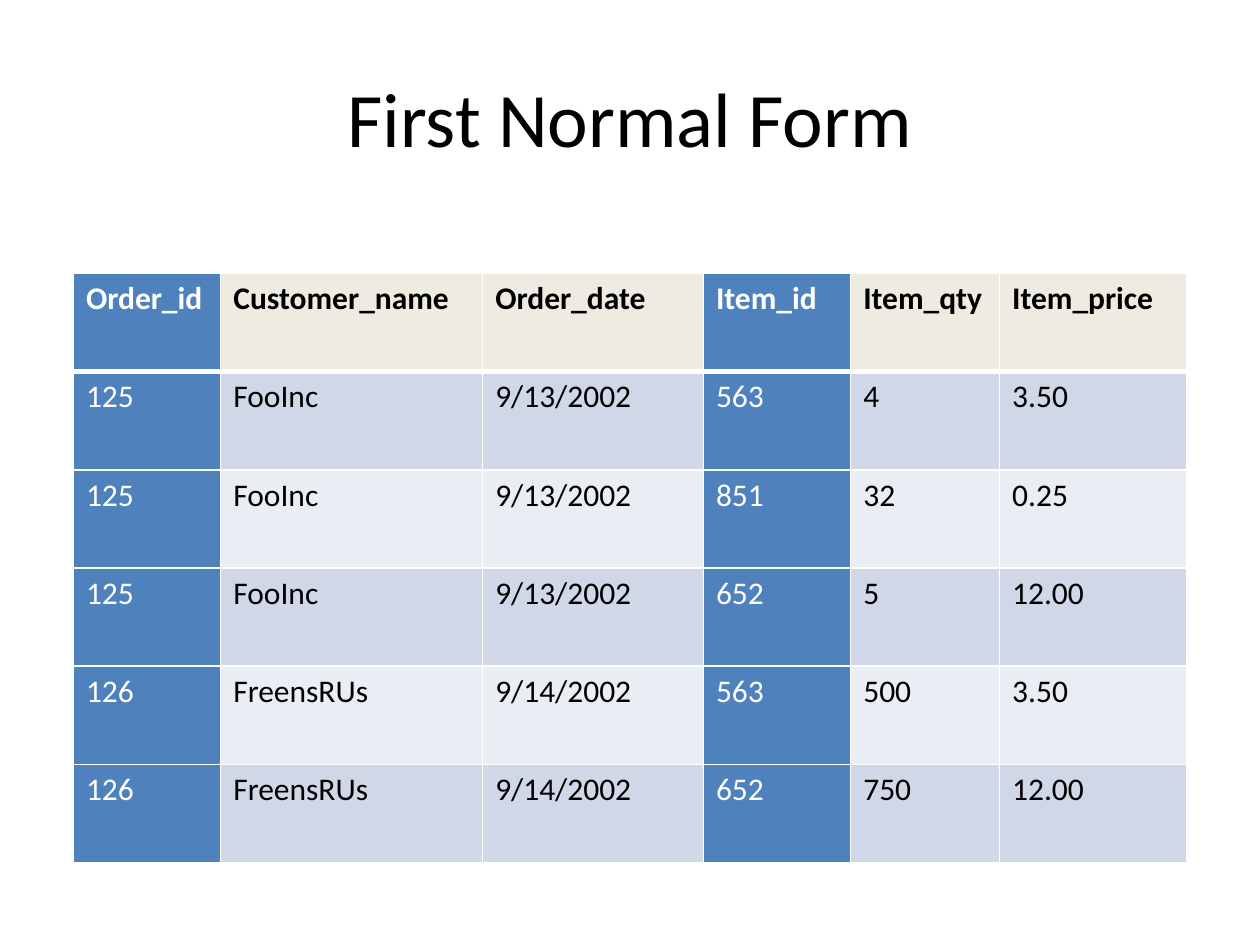
from lxml.etree import SubElement
from pptx import Presentation
from pptx.dml.color import RGBColor
from pptx.enum.text import MSO_ANCHOR as Anchor, PP_ALIGN as Align
from pptx.oxml.ns import qn
from pptx.util import Cm, Pt

BLACK = RGBColor(0x00, 0x00, 0x00)
WHITE = RGBColor(0xFF, 0xFF, 0xFF)
KEY_BLUE = RGBColor(0x4F, 0x81, 0xBD)
HEADER_TAN = RGBColor(0xEE, 0xEC, 0xE1)
BANDS = (RGBColor(0xE9, 0xED, 0xF4), RGBColor(0xD0, 0xD8, 0xE8))

COLUMN_WIDTHS = (2.97, 5.28, 4.45, 2.97, 3.0, 3.77)
ROW_HEIGHT = 1.98
KEY_COLUMNS = ("Order_id", "Item_id")
ORDERS = (
    ("Order_id", "Customer_name", "Order_date", "Item_id", "Item_qty", "Item_price"),
    ("125", "FooInc", "9/13/2002", "563", "4", "3.50"),
    ("125", "FooInc", "9/13/2002", "851", "32", "0.25"),
    ("125", "FooInc", "9/13/2002", "652", "5", "12.00"),
    ("126", "FreensRUs", "9/14/2002", "563", "500", "3.50"),
    ("126", "FreensRUs", "9/14/2002", "652", "750", "12.00"),
)


def write_text(frame, text, *, size=18, color=BLACK, bold=False, align=Align.LEFT):
    paragraph = frame.paragraphs[0]
    paragraph.alignment = align
    run = paragraph.add_run()
    run.text = text
    run.font.name = "Calibri"
    run.font.size = Pt(size)
    run.font.bold = bold
    run.font.color.rgb = color


def add_title(slide, text):
    title = slide.shapes.add_textbox(Cm(1.27), Cm(0.76), Cm(22.86), Cm(3.18))
    frame = title.text_frame
    frame.word_wrap = True
    frame.vertical_anchor = Anchor.MIDDLE
    write_text(frame, text, size=44, align=Align.CENTER)


def add_border(cell, side, width):
    line = SubElement(cell._tc.get_or_add_tcPr(), qn(f"a:{side}"), w=str(Pt(width)))
    fill = SubElement(line, qn("a:solidFill"))
    SubElement(fill, qn("a:srgbClr"), val=str(WHITE))


def style_cell(cell, row, is_key):
    widths = {
        "lnL": 1,
        "lnR": 1,
        "lnT": 3 if row == 1 else 1,
        "lnB": 3 if row == 0 else 1,
    }
    for side, width in widths.items():
        add_border(cell, side, width)
    plain_fill = HEADER_TAN if row == 0 else BANDS[row % 2]
    cell.fill.solid()
    cell.fill.fore_color.rgb = KEY_BLUE if is_key else plain_fill


def add_orders(slide, orders):
    orders_table = slide.shapes.add_table(
        len(orders), len(COLUMN_WIDTHS), Cm(1.48), Cm(5.51),
        Cm(sum(COLUMN_WIDTHS)), Cm(ROW_HEIGHT * len(orders)),
    ).table
    for column, width in zip(orders_table.columns, COLUMN_WIDTHS):
        column.width = Cm(width)
    for row, values in enumerate(orders):
        orders_table.rows[row].height = Cm(ROW_HEIGHT)
        for column, value in enumerate(values):
            cell = orders_table.cell(row, column)
            is_key = orders[0][column] in KEY_COLUMNS
            style_cell(cell, row, is_key)
            write_text(cell.text_frame, value, bold=row == 0,
                       color=WHITE if is_key else BLACK)


def main():
    deck = Presentation()
    deck.slide_width, deck.slide_height = Cm(25.4), Cm(19.05)
    slide = deck.slides.add_slide(deck.slide_layouts[6])
    add_title(slide, "First Normal Form")
    add_orders(slide, ORDERS)
    deck.save("out.pptx")


main()
